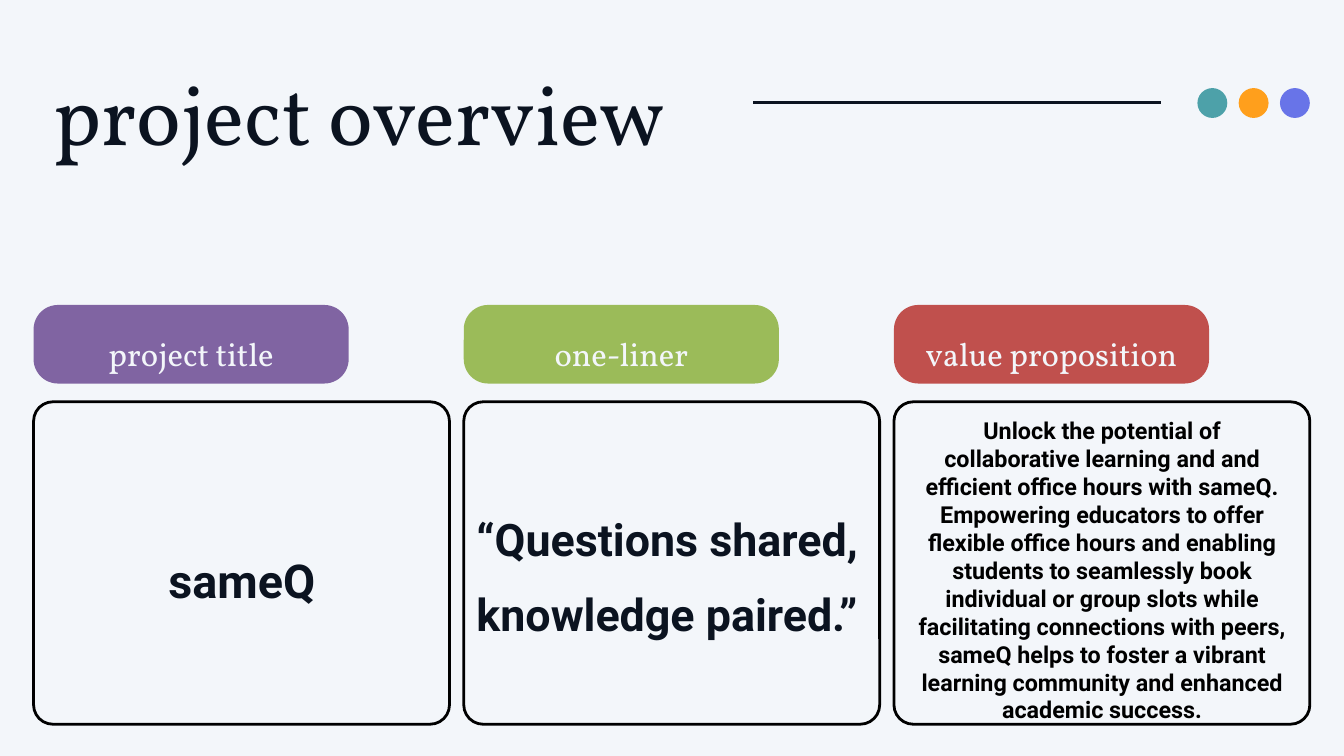
from pptx import Presentation
from pptx.dml.color import RGBColor
from pptx.enum.shapes import MSO_CONNECTOR, MSO_SHAPE
from pptx.enum.text import PP_ALIGN
from pptx.oxml.ns import qn
from pptx.util import Cm, Pt
from lxml import etree

ROUND, OVAL = MSO_SHAPE.ROUNDED_RECTANGLE, MSO_SHAPE.OVAL
LINE = MSO_CONNECTOR.STRAIGHT
LEFT, MID = PP_ALIGN.LEFT, PP_ALIGN.CENTER

PALE = RGBColor(0xF3, 0xF6, 0xFA)
INK = RGBColor(0x0B, 0x13, 0x20)
BLACK = RGBColor(0x00, 0x00, 0x00)
PURPLE = RGBColor(0x80, 0x64, 0xA2)
GREEN = RGBColor(0x9B, 0xBB, 0x59)
RED = RGBColor(0xC0, 0x50, 0x4D)
TEAL = RGBColor(0x4D, 0xA1, 0xA9)
ORANGE = RGBColor(0xFF, 0x9F, 0x1C)
BLUE = RGBColor(0x68, 0x74, 0xE8)

VALUE = (
    "Unlock the potential of collaborative learning and and efficient office "
    "hours with sameQ. Empowering educators to offer flexible office hours and "
    "enabling students to seamlessly book individual or group slots while "
    "facilitating connections with peers, sameQ helps to foster a vibrant "
    "learning community and enhanced academic success."
)

deck = Presentation()
deck.slide_width, deck.slide_height = Cm(50.8), Cm(28.58)
slide = deck.slides.add_slide(deck.slide_layouts[6])
slide.background.fill.solid()
slide.background.fill.fore_color.rgb = PALE
shapes = slide.shapes


def add_text(box, text, face, size, color, align, space, bold=False):
    """Add a text box; box holds left, top, width and height in cm."""
    frame = shapes.add_textbox(*map(Cm, box)).text_frame
    frame.word_wrap = True
    frame.margin_left = frame.margin_right = 0
    frame.margin_top = frame.margin_bottom = 0
    para = frame.paragraphs[0]
    para.text = text
    para.alignment = align
    para.line_spacing = space
    font = para.font
    font.name, font.size, font.bold = face, Pt(size), bold
    font.color.rgb = color


def add_shape(kind, box, fill=None, curve=None):
    """Add a filled shape, or a black outline when there is no fill."""
    shape = shapes.add_shape(kind, *map(Cm, box))
    shape.shadow.inherit = False
    if curve is not None:
        shape.adjustments[0] = curve
    if fill is None:
        shape.fill.background()
        shape.line.color.rgb = BLACK
        shape.line.width = Pt(3)
    else:
        shape.fill.solid()
        shape.fill.fore_color.rgb = fill
        shape.line.fill.background()


# Heading, rule and dots
add_text((2.01, 1.55, 26.06, 3.86), "project overview", "Vollkorn", 90, INK, LEFT, 1.2)

rule = shapes.add_connector(LINE, Cm(28.47), Cm(3.89), Cm(43.87), Cm(3.89))
rule.line.color.rgb = INK
rule.line.width = Pt(3)
etree.SubElement(rule._element.spPr, qn("a:effectLst"))

for i, color in enumerate((TEAL, ORANGE, BLUE)):
    add_shape(OVAL, (45.26 + 1.56 * i, 3.33, 1.13, 1.13), color)

# Three columns: a tab above a frame
for i, (label, color) in enumerate((
    ("project title", PURPLE),
    ("one-liner", GREEN),
    ("value proposition", RED),
)):
    left = 1.27 + 16.26 * i
    add_shape(ROUND, (left, 15.19, 15.72, 12.19), curve=0.06)
    add_shape(ROUND, (left, 11.53, 11.91, 2.97), color, 0.31)
    add_text((left, 12.17, 11.91, 1.5), label, "Vollkorn", 35, PALE, MID, 1.3)

# Text in the frames
for box, text, size, color, align, space in (
    ((2.01, 20.02, 14.27, 2.13), "sameQ", 50, INK, MID, 1.4),
    ((18.01, 18.52, 16.51, 4.93), "“Questions shared, knowledge paired.”", 48, INK, LEFT, 1.4),
    ((34.52, 15.72, 14.27, 10.69), VALUE, 25, BLACK, MID, 1.0),
):
    add_text(box, text, "Roboto", size, color, align, space, True)

deck.save("out.pptx")
